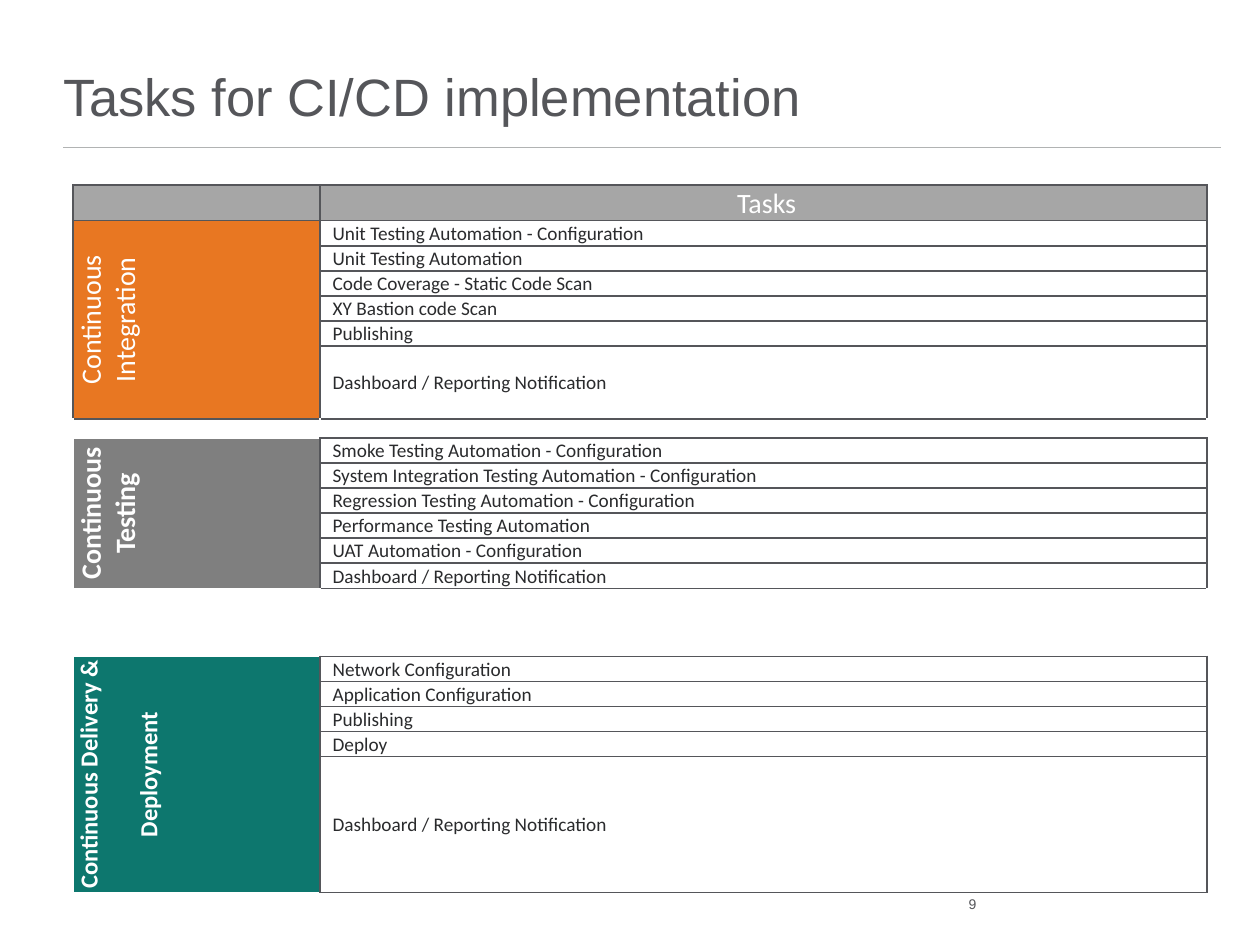
import pptx
import pptx.util
import pptx.oxml
import pptx.enum.text
from dataclasses import dataclass
from lxml import etree
from pptx.dml.color import RGBColor
from pptx.oxml.ns import qn

Inches, Pt = pptx.util.Inches, pptx.util.Pt
ALIGN, ANCHOR = pptx.enum.text.PP_ALIGN, pptx.enum.text.MSO_ANCHOR


@dataclass(frozen=True)
class Theme:
    head: str = "Arial"
    body: str = "Calibri"
    gray: str = "55565A"
    rule: str = "B1B3B3"
    band: str = "A6A6A6"
    ink: str = "2A2B2D"
    white: str = "FFFFFF"
    title: int = 30
    label: int = 16
    task: int = 11
    note: int = 8


T = Theme()
TITLE = "Tasks for CI/CD implementation"
PAGE = "9"
# label, fill, size, bold, left edge, last row height, gap below, tasks
GROUPS = [
    ("Continuous\nIntegration", "E87722", T.label, False, T.gray, 0.58, 0.15, [
        "Unit Testing Automation - Configuration",
        "Unit Testing Automation",
        "Code Coverage - Static Code Scan",
        "XY Bastion code Scan",
        "Publishing",
        "Dashboard / Reporting Notification"]),
    ("Continuous\nTesting", "7F7F7F", T.label, True, T.white, 0.2, 0.54, [
        "Smoke Testing Automation - Configuration",
        "System Integration Testing Automation - Configuration",
        "Regression Testing Automation - Configuration",
        "Performance Testing Automation",
        "UAT Automation - Configuration",
        "Dashboard / Reporting Notification"]),
    ("Continuous Delivery & \nDeployment", "0D776E", 14, True, T.white, 1.08, 0, [
        "Network Configuration",
        "Application Configuration",
        "Publishing",
        "Deploy",
        "Dashboard / Reporting Notification"]),
]
LEFT, TOP = 0.58, 1.47
COLS = (1.96, 7.04)
HEAD, ROW = 0.28, 0.197


def write(frame, text, size, color, font=T.body, bold=False, align=ALIGN.LEFT):
    par = frame.paragraphs[0]
    par.text = text
    par.alignment = align
    for run in par.runs:
        run.font.size, run.font.name, run.font.bold = Pt(size), font, bold
        run.font.color.rgb = RGBColor.from_string(color)
    for br in par._p.findall(qn("a:br")):
        etree.SubElement(br, qn("a:rPr"), sz=str(size * 100))


def clear(frame):
    frame.margin_left = frame.margin_right = 0
    frame.margin_top = frame.margin_bottom = 0


def edge(cell, **sides):
    """Draw the four cell borders; sides l, r, t, b override the gray."""
    props = cell._tc.get_or_add_tcPr()
    for side in "lrtb":
        line = etree.SubElement(props, qn("a:ln" + side.upper()), w=str(Pt(1)))
        fill = etree.SubElement(line, qn("a:solidFill"))
        etree.SubElement(fill, qn("a:srgbClr"), val=sides.get(side, T.gray))


def dress(cell, fill=None, inset=0.01, **sides):
    edge(cell, **sides)
    if fill:
        cell.fill.solid()
        cell.fill.fore_color.rgb = RGBColor.from_string(fill)
    else:
        cell.fill.background()
    cell.margin_left = Inches(inset)
    cell.margin_right = cell.margin_top = Inches(0.01)
    cell.margin_bottom = 0
    cell.vertical_anchor = ANCHOR.MIDDLE
    # keeps an empty cell from stretching its row
    par = cell.text_frame.paragraphs[0]._p
    etree.SubElement(par, qn("a:endParaRPr"), sz="600")


def add_group(table, row, group):
    label, fill, size, bold, left, last, gap, tasks = group
    end = row + len(tasks) - 1
    for at, task in enumerate(tasks, row):
        table.rows[at].height = Inches(last if at == end else ROW)
        dress(table.cell(at, 0), fill, l=left, t=left, b=left)
        cell = table.cell(at, 1)
        dress(cell, T.white, inset=0.1)
        write(cell.text_frame, task, T.task, T.ink)
    cell = table.cell(row, 0)
    cell.merge(table.cell(end, 0))
    cell._tc.get_or_add_tcPr().set("vert", "vert270")
    write(cell.text_frame, label, size, T.white, bold=bold, align=ALIGN.CENTER)
    if gap:
        table.rows[end + 1].height = Inches(gap)
        dress(table.cell(end + 1, 0), l=T.white, r=T.white, t=left, b=T.white)
        dress(table.cell(end + 1, 1), l=T.white, r=T.white)
    return end + 2


def add_tasks(slide):
    count = sum(len(g[-1]) for g in GROUPS) + len(GROUPS)
    high = HEAD + sum(ROW * (len(g[-1]) - 1) + g[5] + g[6] for g in GROUPS)
    table = slide.shapes.add_table(
        count, 2, Inches(LEFT), Inches(TOP), Inches(sum(COLS)), Inches(high)).table
    table.first_row = table.horz_banding = False
    for col, wide in zip(table.columns, COLS):
        col.width = Inches(wide)
    table.rows[0].height = Inches(HEAD)
    for cell in table.rows[0].cells:
        dress(cell, T.band)
    head = table.cell(0, 1)
    head.vertical_anchor = ANCHOR.BOTTOM
    write(head.text_frame, " Tasks", T.label, T.white, align=ALIGN.CENTER)
    row = 1
    for group in GROUPS:
        row = add_group(table, row, group)


def main():
    deck = pptx.Presentation()
    deck.slide_width, deck.slide_height = Inches(10), Inches(7.5)
    slide = deck.slides.add_slide(deck.slide_layouts[5])

    title = slide.shapes.title
    title.left, title.top = Inches(0.5), Inches(0.33)
    title.width, title.height = Inches(9.18), Inches(0.68)
    clear(title.text_frame)
    title.text_frame.vertical_anchor = ANCHOR.BOTTOM
    write(title.text_frame, TITLE, T.title, T.gray, font=T.head)

    rule = slide.shapes.add_connector(
        1, Inches(0.5), Inches(1.17), Inches(9.69), Inches(1.17))
    rule.line.color.rgb = RGBColor.from_string(T.rule)
    rule.line.width = Pt(1)
    etree.SubElement(rule._element.spPr, qn("a:effectLst"))

    add_tasks(slide)

    page = slide.shapes.add_textbox(
        Inches(7.33), Inches(7.04), Inches(0.42), Inches(0.27)).text_frame
    clear(page)
    page.word_wrap = False
    page.vertical_anchor = ANCHOR.MIDDLE
    write(page, PAGE, T.note, T.gray, font=T.head, align=ALIGN.RIGHT)
    deck.save("out.pptx")


if __name__ == "__main__":
    main()
